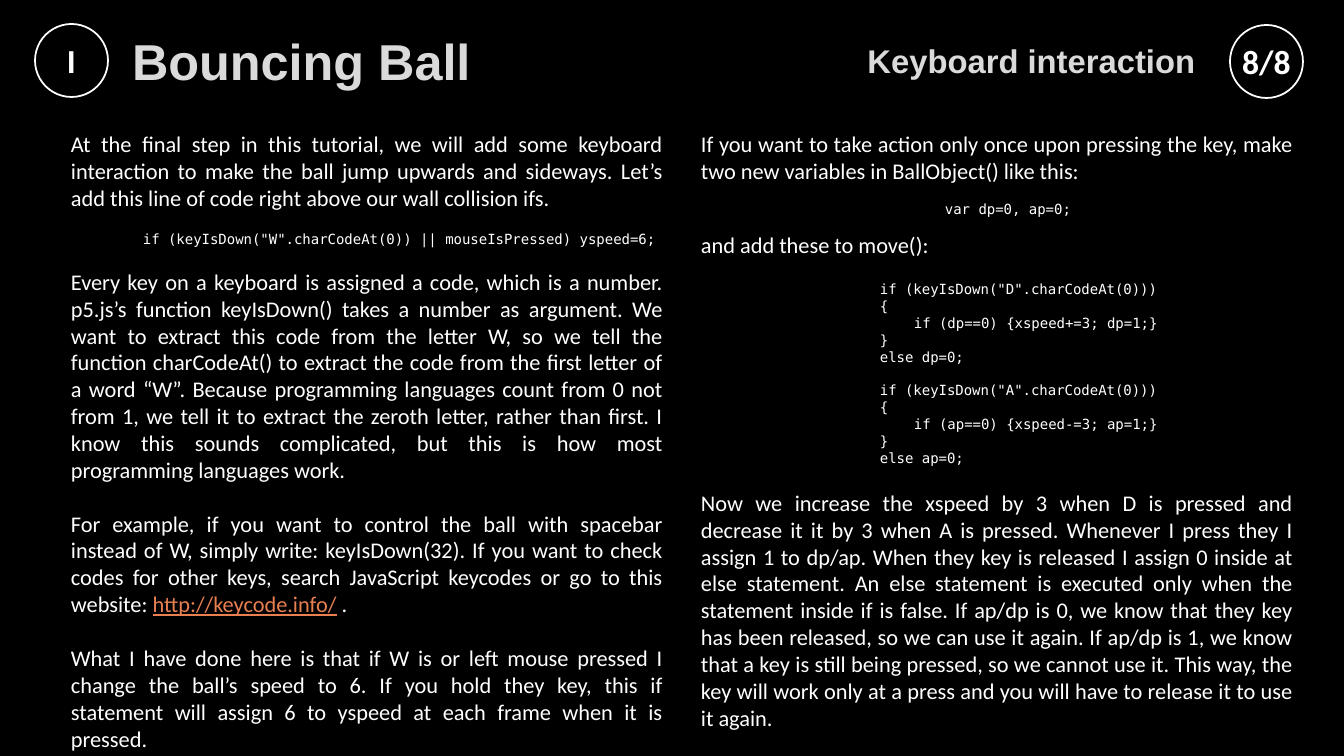
import pptx
import pptx.dml.color
import pptx.enum.shapes
import pptx.enum.text
import pptx.util

ALIGN = pptx.enum.text.PP_ALIGN
MIDDLE = pptx.enum.text.MSO_ANCHOR.MIDDLE
TOP = pptx.enum.text.MSO_ANCHOR.TOP
PX = 914400 / 100.8
WHITE, HEADING, LINK = "FFFFFF", "DADADA", "E98052"
URL = "http://keycode.info/"
COLUMN_WIDTH = 612

INTRO = "At the final step in this tutorial, we will add some keyboard interaction to make the ball jump upwards and sideways. Let’s add this line of code right above our wall collision ifs."
JUMP_CODE = 'if (keyIsDown("W".charCodeAt(0)) || mouseIsPressed) yspeed=6;'
KEY_CODES = [
    "Every key on a keyboard is assigned a code, which is a number. p5.js’s function keyIsDown() takes a number as argument. We want to extract this code from the letter W, so we tell the function charCodeAt() to extract the code from the first letter of a word “W”. Because programming languages count from 0 not from 1, we tell it to extract the zeroth letter, rather than first. I know this sounds complicated, but this is how most programming languages work.",
    f"For example, if you want to control the ball with spacebar instead of W, simply write: keyIsDown(32). If you want to check codes for other keys, search JavaScript keycodes or go to this website: {URL} .",
    "What I have done here is that if W is or left mouse pressed I change the ball’s speed to 6. If you hold they key, this if statement will assign 6 to yspeed at each frame when it is pressed.",
]
ONCE = "If you want to take action only once upon pressing the key, make two new variables in BallObject() like this:"
VARIABLES_CODE = "var dp=0, ap=0;"
MOVE = "and add these to move():"
OUTCOME = "Now we increase the xspeed by 3 when D is pressed and decrease it it by 3 when A is pressed. Whenever I press they I assign 1 to dp/ap. When they key is released I assign 0 inside at else statement. An else statement is executed only when the statement inside if is false. If ap/dp is 0, we know that they key has been released, so we can use it again. If ap/dp is 1, we know that a key is still being pressed, so we cannot use it. This way, the key will work only at a press and you will have to release it to use it again."


def px(length):
    """Turn px into EMU."""
    return pptx.util.Emu(round(length * PX))


def rgb(code):
    """Turn a hex string into a colour."""
    return pptx.dml.color.RGBColor.from_string(code)


def style(paragraph, size, face, color=WHITE, bold=False, align=ALIGN.LEFT):
    """Set the font and alignment of a paragraph."""
    paragraph.alignment = align
    font = paragraph.font
    font.size, font.name, font.bold = pptx.util.Pt(size), face, bold
    font.color.rgb = rgb(color)


def text_box(slide, box, anchor=TOP):
    """Add an empty wrapping text box and return its frame."""
    frame = slide.shapes.add_textbox(*map(px, box)).text_frame
    frame.word_wrap = True
    frame.vertical_anchor = anchor
    return frame


def next_paragraph(frame, index):
    """Return the first paragraph, or a new one after it."""
    return frame.add_paragraph() if index else frame.paragraphs[0]


def prose(slide, box, *texts):
    """Add justified paragraphs with one line between them."""
    frame = text_box(slide, box)
    for index, text in enumerate(texts):
        paragraph = next_paragraph(frame, index)
        style(paragraph, 16, "Calibri", align=ALIGN.JUSTIFY)
        if index:
            paragraph.space_before = pptx.util.Pt(19.2)
        before, address, after = text.partition(URL)
        paragraph.add_run().text = before
        if address:
            link = paragraph.add_run()
            link.text = address
            link.font.underline = True
            link.font.color.rgb = rgb(LINK)
            paragraph.add_run().text = after


def code(slide, box, lines, gap_at=None):
    """Add code lines given as (indent in px, text), with a gap before one."""
    frame = text_box(slide, box)
    for index, (indent, text) in enumerate(lines):
        paragraph = next_paragraph(frame, index)
        paragraph.text = text
        style(paragraph, 10, "DejaVu Sans Mono")
        properties = paragraph._p.get_or_add_pPr()
        properties.set("marL", str(px(indent)))
        properties.set("indent", "0")
        if index == gap_at:
            paragraph.space_before = pptx.util.Pt(12)


def badge(slide, left, top, text):
    """Add a ringed label."""
    ring = slide.shapes.add_shape(
        pptx.enum.shapes.MSO_SHAPE.OVAL, px(left), px(top), px(73), px(73))
    ring.shadow.inherit = False
    ring.fill.background()
    ring.line.color.rgb = rgb(WHITE)
    ring.line.width = pptx.util.Pt(1.25)
    frame = ring.text_frame
    frame.margin_left = frame.margin_right = frame.margin_top = frame.margin_bottom = 0
    frame.vertical_anchor = MIDDLE
    frame.text = text
    style(frame.paragraphs[0], 24, "Calibri", bold=True, align=ALIGN.CENTER)


def header(slide, left, top):
    """Place the title, the subtitle and the two badges."""
    title = slide.shapes.title
    title.left, title.top, title.width, title.height = map(
        px, (left + 87, top + 10, 1040, 53))
    title.text_frame.text = "Bouncing Ball"
    title.text_frame.auto_size = pptx.enum.text.MSO_AUTO_SIZE.NONE
    title.text_frame.vertical_anchor = MIDDLE
    style(title.text_frame.paragraphs[0], 36, "Arial", HEADING, True)
    subtitle = text_box(slide, (left + 692, top - 8, 478, 89), MIDDLE)
    subtitle.text = "Keyboard interaction"
    style(subtitle.paragraphs[0], 23.4, "Arial", HEADING, True, ALIGN.RIGHT)
    badge(slide, left, top, "I")
    badge(slide, left + 1195, top + 1, "8/8")


def jump_column(slide, left, top):
    """Place the column on jumping and key codes."""
    prose(slide, (left, top, COLUMN_WIDTH, 92), INTRO)
    code(slide, (left + 72, top + 101, 543, 27), [(0, JUMP_CODE)])
    prose(slide, (left, top + 138, COLUMN_WIDTH, 472), *KEY_CODES)


def press_column(slide, left, top):
    """Place the column on acting once per key press."""
    prose(slide, (left, top, COLUMN_WIDTH, 65), ONCE)
    code(slide, (left + 244, top + 71, 161, 27), [(0, VARIABLES_CODE)])
    prose(slide, (left, top + 101, COLUMN_WIDTH, 37), MOVE)
    lines = []
    for key, flag, sign in (("D", "dp", "+"), ("A", "ap", "-")):
        lines += [
            (50, f'if (keyIsDown("{key}".charCodeAt(0)))'),
            (50, "{"),
            (84, f"if ({flag}==0) {{xspeed{sign}=3; {flag}=1;}}"),
            (50, "}"),
            (50, f"else {flag}=0;"),
        ]
    code(slide, (left + 129, top + 151, 392, 197), lines, gap_at=5)
    prose(slide, (left, top + 359, COLUMN_WIDTH, 254), OUTCOME)


def main():
    """Build and save the slide."""
    deck = pptx.Presentation()
    deck.slide_width, deck.slide_height = px(1344), px(756)
    slide = deck.slides.add_slide(deck.slide_layouts[5])
    slide.background.fill.solid()
    slide.background.fill.fore_color.rgb = rgb("000000")
    header(slide, 35, 24)
    jump_column(slide, 61, 125)
    press_column(slide, 691, 125)
    deck.save("out.pptx")


if __name__ == "__main__":
    main()
